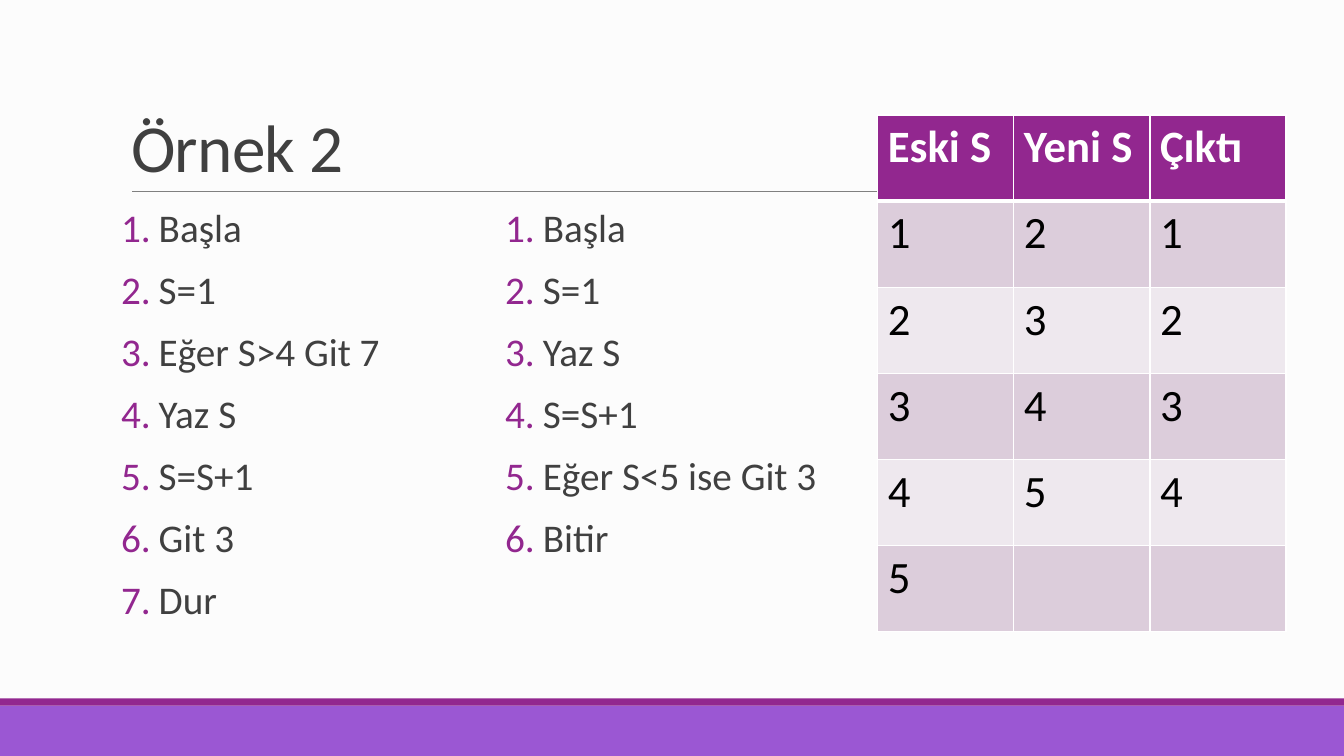
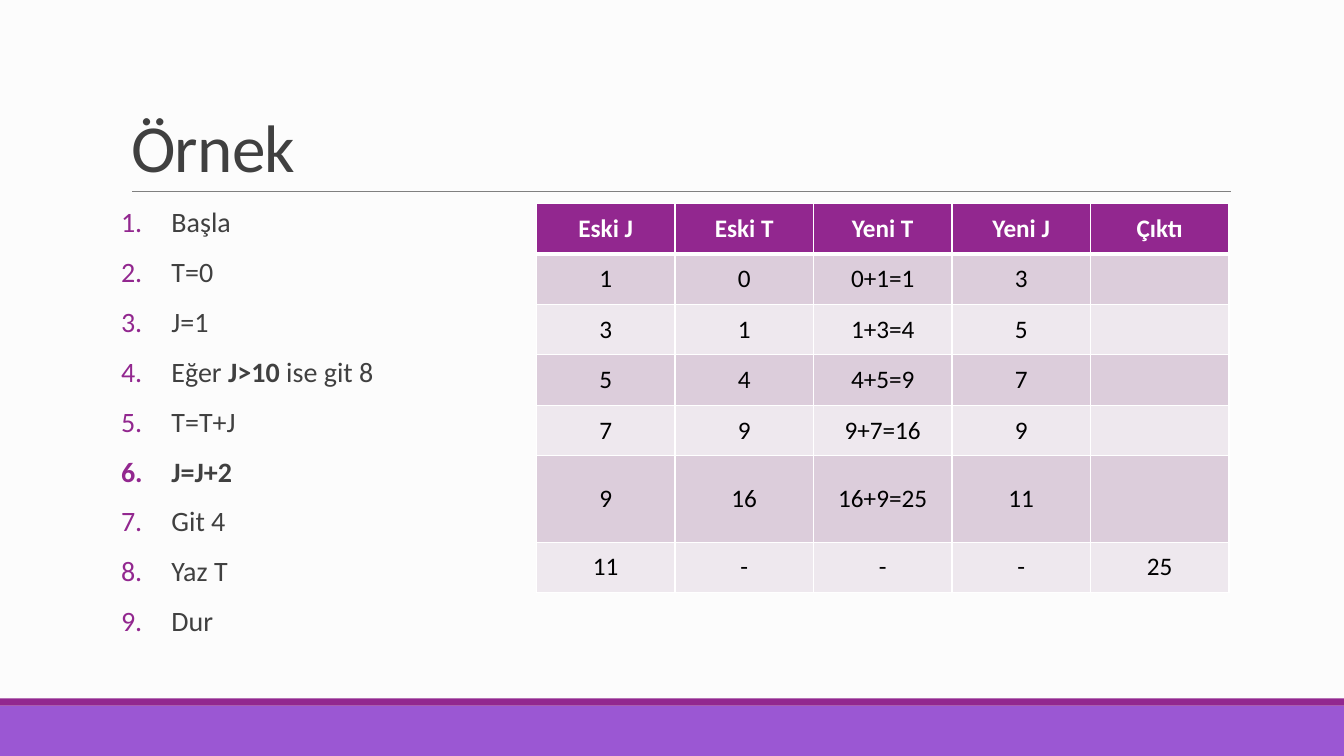
from lxml import etree
from pptx import Presentation
from pptx.dml.color import RGBColor
from pptx.enum import shapes, text
from pptx.oxml import ns
from pptx.util import Cm, Pt

FONT = "Calibri"
PAPER = RGBColor(0xFC, 0xFC, 0xFC)
PURPLE = RGBColor(0x92, 0x27, 0x8F)
VIOLET = RGBColor(0x9B, 0x57, 0xD3)
GRAY = RGBColor(0x80, 0x80, 0x80)
INK = RGBColor(0x40, 0x40, 0x40)
BLACK = RGBColor(0, 0, 0)
WHITE = RGBColor(0xFF, 0xFF, 0xFF)
TINTS = [RGBColor(0xEE, 0xE8, 0xEE), RGBColor(0xDC, 0xCD, 0xDB)]


def node(parent, tag, **attrs):
    return etree.SubElement(parent, ns.qn(tag), attrs)


def write(frame, lines, size, color=INK, bold=False, align=text.PP_ALIGN.LEFT,
          space=1.0, before=0, after=0, indent=None, track=None):
    for i, line in enumerate(lines):
        par = frame.paragraphs[0] if i == 0 else frame.add_paragraph()
        par.alignment = align
        par.line_spacing = space
        par.space_before, par.space_after = Pt(before), Pt(after)
        if indent:
            props = par._p.get_or_add_pPr()
            props.set("marL", str(indent))
            props.set("indent", str(-indent))
            node(node(props, "a:buClr"), "a:srgbClr", val=str(PURPLE))
            node(props, "a:buFont", typeface=FONT)
            node(props, "a:buAutoNum", type="arabicPeriod")
        for k, part in enumerate(line.split("*")):
            if part:
                run = par.add_run()
                run.text = part
                font = run.font
                font.name, font.size = FONT, Pt(size)
                font.bold = bold or k % 2 == 1
                font.color.rgb = color
                if track:
                    run._r.get_or_add_rPr().set("spc", str(track))


pages = [
    dict(
        title="Örnek 2", layout=3, size=28, indent=Cm(0.95),
        lists=[
            (3.05, ["Başla", "S=1", "Eğer S>4 Git 7", "Yaz S", "S=S+1",
                    "Git 3", "Dur"]),
            (12.73, ["Başla", "S=1", "Yaz S", "S=S+1",
                     "Eğer S<5 ise Git 3", "Bitir"]),
        ],
        left=22.12, top=2.9, wide=3.43, high=2.17, tall={}, type=32,
        align=text.PP_ALIGN.LEFT, anchor=text.MSO_ANCHOR.TOP,
        rows=[
            ["Eski S", "Yeni S", "Çıktı"],
            ["1", "2", "1"],
            ["2", "3", "2"],
            ["3", "4", "3"],
            ["4", "5", "4"],
            ["5", "", ""],
        ],
    ),
    dict(
        title="Örnek", layout=1, size=20, indent=Cm(1.27),
        lists=[
            (3.05, ["Başla", "T=0", "J=1", "Eğer *J>10* ise git 8", "T=T+J",
                    "*J=J+2*", "Git 4", "Yaz T", "Dur"]),
        ],
        left=13.52, top=5.13, wide=3.49, high=1.27, tall={5: 2.18}, type=18,
        align=text.PP_ALIGN.CENTER, anchor=text.MSO_ANCHOR.MIDDLE,
        rows=[
            ["Eski J", "Eski T", "Yeni T", "Yeni J", "Çıktı"],
            ["1", "0", "0+1=1", "3", ""],
            ["3", "1", "1+3=4", "5", ""],
            ["5", "4", "4+5=9", "7", ""],
            ["7", "9", "9+7=16", "9", ""],
            ["9", "16", "16+9=25", "11", ""],
            ["11", "-", "-", "-", "25"],
        ],
    ),
]

prs = Presentation()
prs.slide_width, prs.slide_height = Cm(33.87), Cm(19.05)
master = prs.slide_master
master.background.fill.solid()
master.background.fill.fore_color.rgb = PAPER

for num, page in enumerate(pages):
    slide = prs.slides.add_slide(prs.slide_layouts[page["layout"]])

    if num == 0:
        decor = []
        for top, high, color in [(17.78, 1.27, VIOLET), (17.6, 0.18, PURPLE)]:
            band = slide.shapes.add_shape(
                shapes.MSO_SHAPE.RECTANGLE, 0, Cm(top), prs.slide_width, Cm(high))
            band.shadow.inherit = False
            band.fill.solid()
            band.fill.fore_color.rgb = color
            band.line.fill.background()
            decor.append(band)
        rule = slide.shapes.add_connector(
            shapes.MSO_CONNECTOR.STRAIGHT, Cm(3.33), Cm(4.83), Cm(31.01), Cm(4.83))
        rule.line.color.rgb = GRAY
        rule.line.width = Pt(0.5)
        node(rule.element.spPr, "a:effectLst")
        decor.append(rule)
        for i, item in enumerate(decor):
            item.element.xpath(".//p:cNvPr")[0].set("id", str(20 + i))
            master.shapes.element.append(item.element)

    title = slide.shapes.title
    title.left, title.top = Cm(3.05), Cm(0.79)
    title.width, title.height = Cm(27.94), Cm(4.04)
    frame = title.text_frame
    frame.auto_size = text.MSO_AUTO_SIZE.NONE
    frame.vertical_anchor = text.MSO_ANCHOR.BOTTOM
    write(frame, [page["title"]], 48, space=0.85, track=-50)

    for i, (left, lines) in enumerate(page["lists"], 1):
        body = slide.placeholders[i]
        body.left, body.top = Cm(left), Cm(5.13)
        body.width, body.height = Cm(13.72), Cm(11.18)
        frame = body.text_frame
        frame.auto_size = text.MSO_AUTO_SIZE.NONE
        frame.margin_left = frame.margin_right = 0
        write(frame, lines, page["size"], space=0.9, before=12, after=2,
              indent=page["indent"])

    rows = page["rows"]
    count = len(rows[0])
    table = slide.shapes.add_table(
        len(rows), count, Cm(page["left"]), Cm(page["top"]),
        Cm(page["wide"] * count), Cm(page["high"] * len(rows))).table
    for col in table.columns:
        col.width = Cm(page["wide"])
    for r, row in enumerate(rows):
        table.rows[r].height = Cm(page["tall"].get(r, page["high"]))
        for c, word in enumerate(row):
            cell = table.cell(r, c)
            cell.vertical_anchor = page["anchor"]
            props = cell._tc.get_or_add_tcPr()
            for side in "LRTB":
                thick = (r, side) in [(0, "B"), (1, "T")]
                edge = node(props, "a:ln" + side, w=str(Pt(3 if thick else 1)))
                node(node(edge, "a:solidFill"), "a:srgbClr", val=str(WHITE))
            cell.fill.solid()
            cell.fill.fore_color.rgb = TINTS[r % 2] if r else PURPLE
            write(cell.text_frame, [word], page["type"],
                  color=BLACK if r else WHITE, bold=r == 0, align=page["align"])

prs.save("out.pptx")
